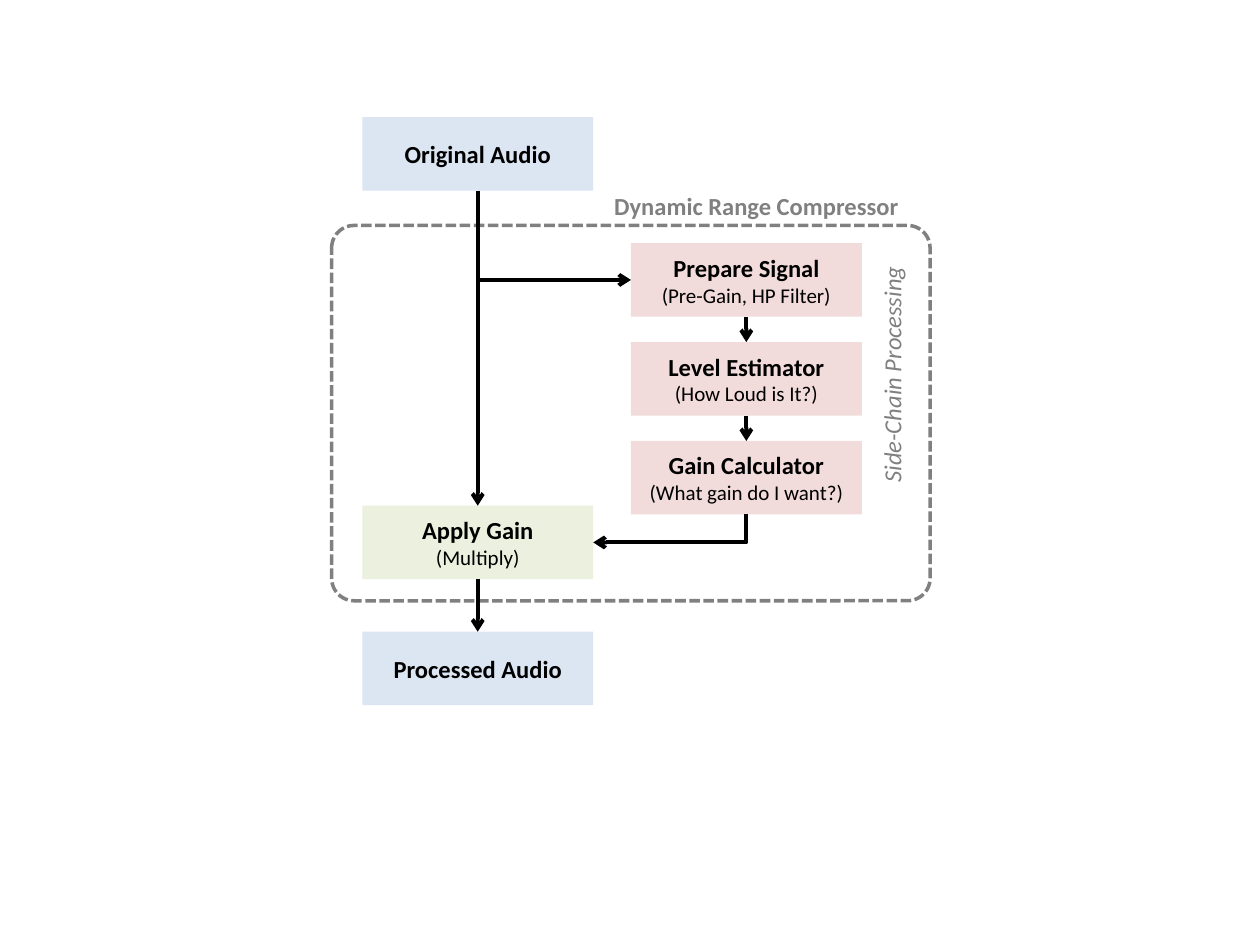
import dataclasses

import pptx
import pptx.dml.color
import pptx.enum.dml
import pptx.enum.shapes
import pptx.enum.text
import pptx.oxml.ns
import pptx.util
from lxml import etree

Pt = pptx.util.Pt
SHAPE = pptx.enum.shapes.MSO_SHAPE
CONNECTOR = pptx.enum.shapes.MSO_CONNECTOR


@dataclasses.dataclass(frozen=True)
class Theme:
    font: str = "Calibri"
    heading: float = 14
    detail: float = 12
    ink: str = "000000"
    muted: str = "808080"
    paper: str = "FFFFFF"
    audio: str = "DCE6F2"
    side_chain: str = "F2DCDB"
    gain: str = "EBF1DE"
    arrow_width: float = 2.25
    frame_width: float = 2


def rgb(value):
    return pptx.dml.color.RGBColor.from_string(value)


def add_xml(parent, tag, **attributes):
    return etree.SubElement(parent, pptx.oxml.ns.qn(tag), attributes)


class Diagram:
    BOX_WIDTH, BOX_HEIGHT = 132, 42
    TOP, LEFT, BOTTOM, RIGHT = range(4)  # connection sites of a rectangle

    def __init__(self, slide, theme):
        self.slide = slide
        self.theme = theme

    def shape(self, kind, left, top, width, height, fill=None):
        shape = self.slide.shapes.add_shape(
            kind, Pt(left), Pt(top), Pt(width), Pt(height))
        shape.shadow.inherit = False
        shape.line.fill.background()
        if fill:
            shape.fill.solid()
            shape.fill.fore_color.rgb = rgb(fill)
        else:
            shape.fill.background()
        return shape

    def set_text(self, paragraph, text, size, color, bold=False, italic=False):
        paragraph.text = text
        paragraph.alignment = pptx.enum.text.PP_ALIGN.CENTER
        font = paragraph.font
        font.name = self.theme.font
        font.size = Pt(size)
        font.bold = bold
        font.italic = italic
        font.color.rgb = rgb(color)

    def frame(self, left, top, width, height):
        frame = self.shape(SHAPE.ROUNDED_RECTANGLE, left, top, width, height)
        frame.adjustments[0] = 0.06
        frame.line.color.rgb = rgb(self.theme.muted)
        frame.line.width = Pt(self.theme.frame_width)
        frame.line.dash_style = pptx.enum.dml.MSO_LINE.SQUARE_DOT

    def stage(self, left, top, fill, heading, detail=None):
        """Draw one processing box with a bold heading and an optional detail line."""
        box = self.shape(SHAPE.RECTANGLE, left, top,
                         self.BOX_WIDTH, self.BOX_HEIGHT, fill)
        frame = box.text_frame
        frame.vertical_anchor = pptx.enum.text.MSO_ANCHOR.MIDDLE
        theme = self.theme
        self.set_text(frame.paragraphs[0], heading, theme.heading, theme.ink, bold=True)
        if detail:
            self.set_text(frame.add_paragraph(), detail, theme.detail, theme.ink)
        return box

    def arrow(self, source, target, kind=CONNECTOR.STRAIGHT, target_site=TOP):
        arrow = self.slide.shapes.add_connector(kind, 0, 0, 0, 0)
        arrow.begin_connect(source, self.BOTTOM)
        arrow.end_connect(target, target_site)
        arrow.line.color.rgb = rgb(self.theme.ink)
        arrow.line.width = Pt(self.theme.arrow_width)
        properties = arrow._element.spPr
        add_xml(properties.find(pptx.oxml.ns.qn("a:ln")), "a:tailEnd", type="arrow")
        add_xml(properties, "a:effectLst")
        return arrow

    def elbow(self, source, target, target_site):
        """Draw an arrow that goes down first and then sideways, with one corner."""
        arrow = self.arrow(source, target, CONNECTOR.ELBOW, target_site)
        run, drop = arrow.end_x - arrow.begin_x, arrow.end_y - arrow.begin_y
        center_x = (arrow.begin_x + arrow.end_x) // 2
        center_y = (arrow.begin_y + arrow.end_y) // 2
        properties = arrow._element.spPr
        properties.find(pptx.oxml.ns.qn("a:prstGeom")).set("prst", "bentConnector2")
        transform = properties.find(pptx.oxml.ns.qn("a:xfrm"))
        transform.attrib.clear()
        transform.set("rot", str((270 if run > 0 else 90) * 60000))
        if run > 0:
            transform.set("flipH", "1")
        # The corner preset runs sideways first, so its sides swap when turned.
        arrow.width, arrow.height = drop, abs(run)
        arrow.left = center_x - arrow.width // 2
        arrow.top = center_y - arrow.height // 2

    def label(self, text, left, top, width, height, fill=None, rotation=0, **style):
        label = self.slide.shapes.add_textbox(
            Pt(left), Pt(top), Pt(width), Pt(height))
        label.rotation = rotation
        if fill:
            label.fill.solid()
            label.fill.fore_color.rgb = rgb(fill)
        frame = label.text_frame
        frame.word_wrap = True
        frame.vertical_anchor = pptx.enum.text.MSO_ANCHOR.MIDDLE
        frame.margin_left = frame.margin_right = Pt(5)
        frame.margin_top = frame.margin_bottom = Pt(1.5)
        self.set_text(frame.paragraphs[0], text, self.theme.heading,
                      self.theme.muted, **style)


def main():
    deck = pptx.Presentation()
    deck.slide_width, deck.slide_height = Pt(720), Pt(540)
    theme = Theme()
    diagram = Diagram(deck.slides.add_slide(deck.slide_layouts[6]), theme)

    main_path, side_path = 207, 360.5
    side_top, side_step = 139, 56.5

    diagram.frame(189.5, 128.8, 342, 214.5)
    original = diagram.stage(main_path, 67, theme.audio, "Original Audio")
    apply_gain = diagram.stage(main_path, 289, theme.gain, "Apply Gain", "(Multiply)")
    processed = diagram.stage(main_path, 361, theme.audio, "Processed Audio")
    side_stages = [
        ("Prepare Signal", "(Pre-Gain, HP Filter)"),
        ("Level Estimator", "(How Loud is It?)"),
        ("Gain Calculator", "(What gain do I want?)"),
    ]
    prepare, estimate, calculate = [
        diagram.stage(side_path, side_top + row * side_step, theme.side_chain, *texts)
        for row, texts in enumerate(side_stages)
    ]

    diagram.elbow(original, prepare, Diagram.LEFT)
    for source, target in [(original, apply_gain), (prepare, estimate),
                           (estimate, calculate), (apply_gain, processed)]:
        diagram.arrow(source, target)
    diagram.elbow(calculate, apply_gain, Diagram.RIGHT)

    diagram.label("Side-Chain Processing", 413.5, 197.5, 192, 33,
                  rotation=270, italic=True)
    diagram.label("Dynamic Range Compressor", 345.5, 107.3, 173.5, 20.2,
                  fill=theme.paper, bold=True)
    deck.save("out.pptx")


if __name__ == "__main__":
    main()
